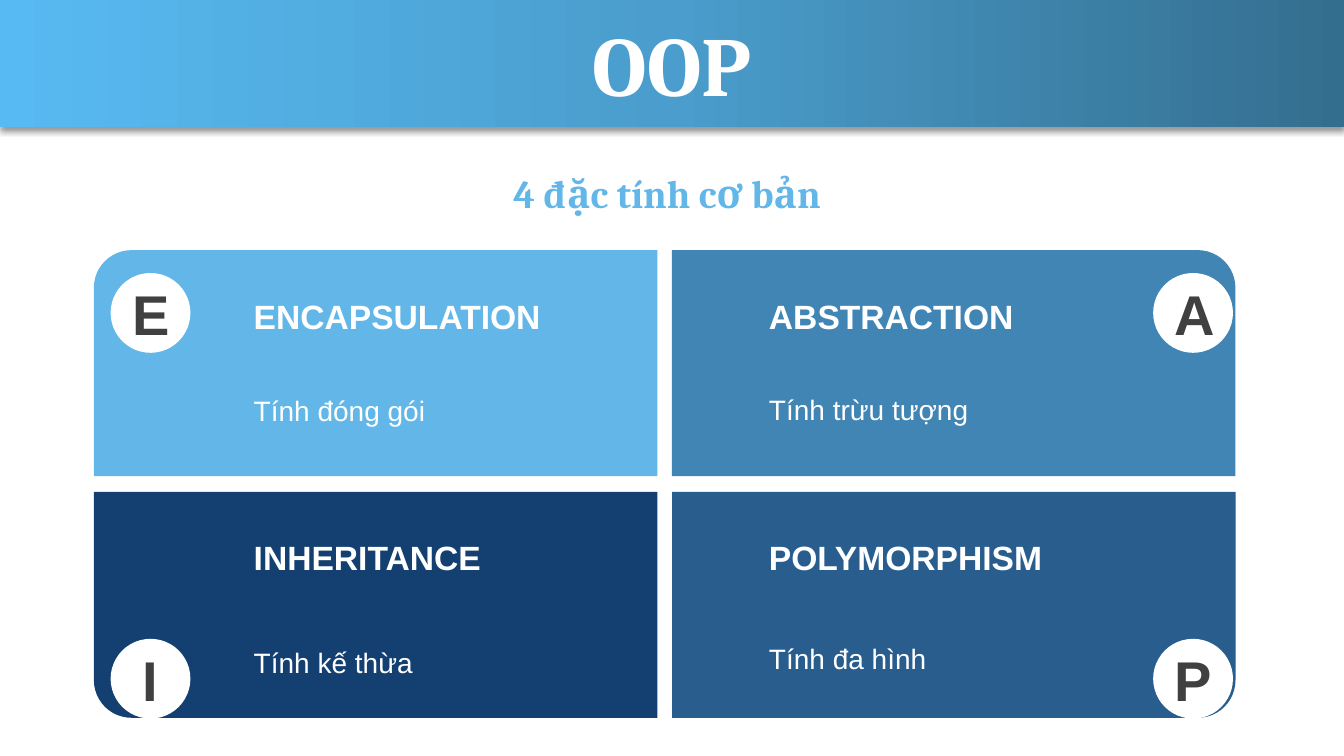
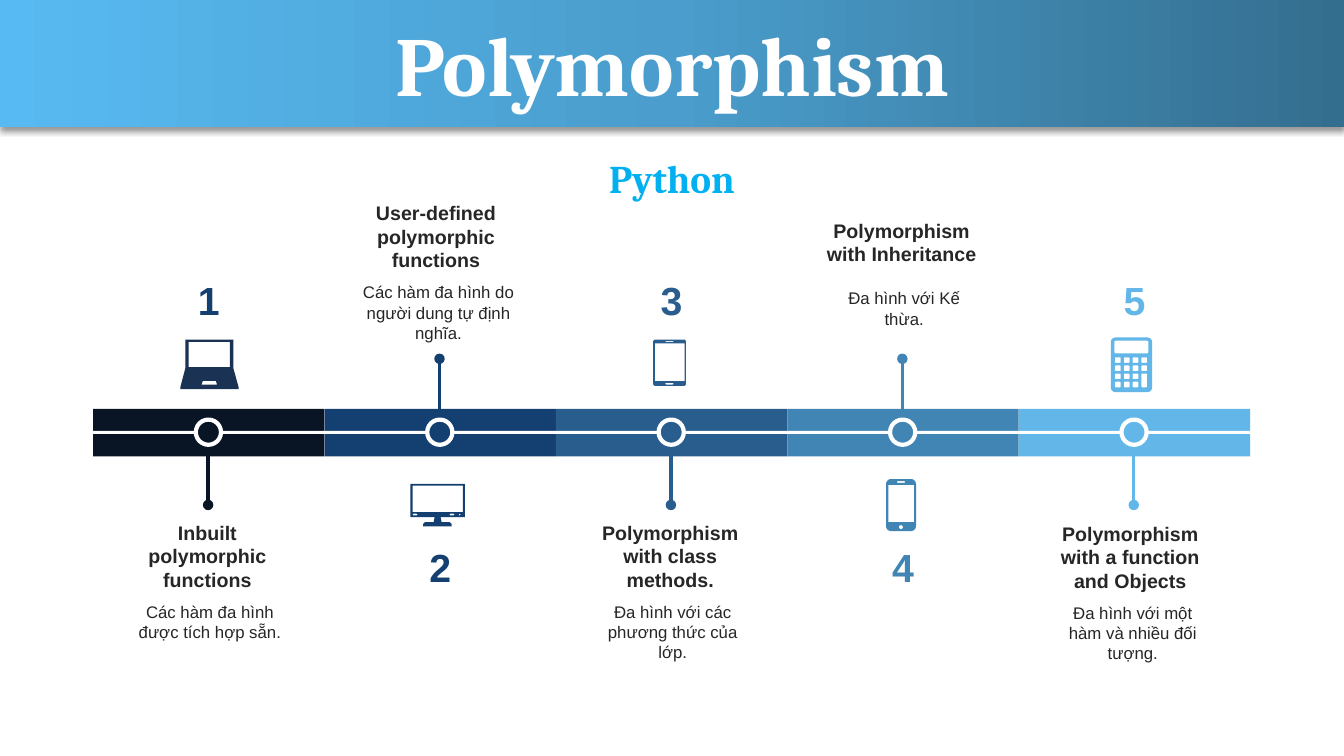
from dataclasses import dataclass
from math import cos, pi, sin

from pptx import Presentation
from pptx.dml.color import RGBColor as Rgb
from pptx.enum.shapes import MSO_CONNECTOR as Link, MSO_SHAPE as Kind
from pptx.enum.text import MSO_ANCHOR as Anchor, MSO_AUTO_SIZE as Fit, PP_ALIGN as Align
from pptx.oxml import parse_xml
from pptx.oxml.ns import nsdecls, qn
from pptx.util import Pt

# Shared look
WIDE, HIGH = 960, 540
WHITE, INK, GREY = "FFFFFF", "262626", "404040"
NIGHT, NAVY, BLUE, STEEL, SKY = "091424", "134070", "285D8D", "4185B5", "62B7E8"
SANS, SERIF = "Arial", "Cambria"
FADE = ((0, "346E8F"), (50, "4A9DCC"), (100, "58BAF2"))

Dots = list[tuple[float, float]]


@dataclass
class Card:
    letter: str
    head: str
    note: str
    tint: str
    col: int
    row: int
    flip: bool
    turn: int
    note_y: float


@dataclass
class Icon:
    x: float
    y: float
    tint: str
    rings: list[Dots]


@dataclass
class Step:
    head: str
    note: str
    tint: str
    ink: str
    head_y: float
    head_h: float
    note_y: float
    shift: float
    icon: Icon


def rgb(code: str) -> Rgb:
    return Rgb.from_string(code)


def style(frame, text: str, size: float, tint: str, bold: bool = False,
          face: str = SANS, align=Align.CENTER, anchor=Anchor.TOP) -> None:
    frame.word_wrap = True
    frame.auto_size = Fit.NONE
    frame.vertical_anchor = anchor
    frame.text = text
    para = frame.paragraphs[0]
    para.alignment = align
    font = para.font
    font.name, font.size, font.bold = face, Pt(size), bold
    font.color.rgb = rgb(tint)


def label(slide, x: float, y: float, w: float, h: float, text: str,
          size: float, tint: str, **opts) -> None:
    box = slide.shapes.add_textbox(Pt(x), Pt(y), Pt(w), Pt(h))
    style(box.text_frame, text, size, tint, **opts)


def block(slide, kind, x: float, y: float, w: float, h: float, tint: str):
    shape = slide.shapes.add_shape(kind, Pt(x), Pt(y), Pt(w), Pt(h))
    paint(shape, tint)
    return shape


def paint(shape, tint: str) -> None:
    shape.shadow.inherit = False
    shape.fill.solid()
    shape.fill.fore_color.rgb = rgb(tint)
    shape.line.fill.background()


def banner(slide, text: str) -> None:
    """Gradient band with a soft shadow, behind the title."""
    band = block(slide, Kind.RECTANGLE, 0, 0, WIDE, 90.7, STEEL)
    props = band.element.spPr
    stops = "".join(f'<a:gs pos="{pos * 1000}"><a:srgbClr val="{code}"/></a:gs>'
                    for pos, code in FADE)
    props.replace(props.find(qn("a:solidFill")), parse_xml(
        f'<a:gradFill {nsdecls("a")} rotWithShape="1"><a:gsLst>{stops}</a:gsLst>'
        '<a:lin ang="10800000" scaled="0"/></a:gradFill>'))
    props.find(qn("a:effectLst")).append(parse_xml(
        f'<a:outerShdw {nsdecls("a")} blurRad="{Pt(4)}" dist="{Pt(3)}" dir="5400000" '
        'algn="t" rotWithShape="0"><a:srgbClr val="000000">'
        '<a:alpha val="40000"/></a:srgbClr></a:outerShdw>'))
    title = slide.shapes.title
    title.left, title.top, title.width, title.height = Pt(0), Pt(5), Pt(WIDE), Pt(80)
    style(title.text_frame, text, 60, WHITE, bold=True, face=SERIF)
    title.element.addprevious(band.element)


def stem(slide, x: float, start: float, end: float, tint: str) -> None:
    line = slide.shapes.add_connector(Link.STRAIGHT, Pt(x), Pt(start), Pt(x), Pt(end))
    line.line.color.rgb = rgb(tint)
    line.line.width = Pt(2.5)
    props = line.element.spPr
    props.find(qn("a:ln")).append(parse_xml(f'<a:headEnd {nsdecls("a")} type="oval"/>'))
    props.append(parse_xml(f'<a:effectLst {nsdecls("a")}/>'))


# Icon outlines: the outer ring first, then the holes
def ring(x: float, y: float, w: float, h: float, r: float = 0) -> Dots:
    if not r:
        return [(x, y), (x + w, y), (x + w, y + h), (x, y + h)]
    hubs = ((x + w - r, y + h - r), (x + r, y + h - r), (x + r, y + r), (x + w - r, y + r))
    return [(cx + r * cos(a), cy + r * sin(a))
            for q, (cx, cy) in enumerate(hubs)
            for a in ((q + k / 6) * pi / 2 for k in range(7))]


def draw(slide, icon: Icon) -> None:
    rings = [[(Pt(icon.x + x), Pt(icon.y + y)) for x, y in dots] for dots in icon.rings]
    pen = slide.shapes.build_freeform(*rings[0][0])
    pen.add_line_segments(rings[0][1:])
    for dots in rings[1:]:
        pen.move_to(*dots[0])
        pen.add_line_segments(dots[1:])
    paint(pen.convert_to_shape(), icon.tint)


LAPTOP = Icon(128.9, 242.6, "1A3253", [
    [(3.6, 0), (37.8, 0), (37.8, 20.2), (41.5, 33.8), (41.5, 35.3),
     (0, 35.3), (0, 33.8), (3.6, 20.2)],
    ring(5.8, 1.6, 29.6, 18),
    [(16, 29.5), (15.1, 32.2), (26.2, 32.2), (25.3, 29.5)]])
SCREEN = Icon(293.2, 345.6, NAVY, [
    [(0, 0), (38.9, 0), (38.9, 23.8), (21.6, 23.8), (22.3, 27.4), (28.1, 27.4),
     (29.5, 28.8), (29.5, 30.4), (9.1, 30.4), (9.1, 28.8), (10.5, 27.4),
     (16.6, 27.4), (17.3, 23.8), (0, 23.8)],
    ring(1.6, 1.4, 35.8, 18.9),
    ring(1.6, 21.4, 3.4, 1.2, 0.6), ring(28, 21.4, 3.4, 1.2, 0.6),
    ring(34.6, 21.4, 1.2, 1.2, 0.6)])
TABLET = Icon(466.6, 242.6, BLUE, [
    ring(0, 0, 23.4, 33.1, 1.6), ring(1.2, 2.7, 21.2, 26.9),
    ring(8.7, 0.9, 5.8, 0.8, 0.4), ring(8.7, 30.9, 5.8, 1.2, 0.6)])
PHONE = Icon(632.9, 342.2, STEEL, [
    ring(0, 0, 21.4, 37.2, 3.6), ring(1.6, 4.2, 18.4, 26.6),
    ring(7.8, 1.5, 5.8, 1.2, 0.6), ring(9.2, 32.9, 2.9, 2.9, 1.45)])
KEYS = [ring(2.9 + 6.3 * col, 14.2 + 5.8 * row, 4.1, 4, 0.5)
        for row in range(4) for col in range(4) if col < 3 or row < 2]
ADDER = Icon(793.5, 241.1, SKY, [
    ring(0, 0, 29.4, 39, 3.2), ring(2.5, 2.2, 24.3, 9.2, 1),
    ring(21.8, 25.8, 4.1, 9.8, 0.5), *KEYS])

CARDS = [
    Card("E", "ENCAPSULATION", "Tính đóng gói", SKY, 0, 0, True, 0, 277.4),
    Card("A", "ABSTRACTION", "Tính trừu tượng", STEEL, 1, 0, False, 0, 277),
    Card("I", "INHERITANCE", "Tính kế thừa", NAVY, 0, 1, False, 180, 457.2),
    Card("P", "POLYMORPHISM", "Tính đa hình", BLUE, 1, 1, True, 180, 455),
]

STEPS = [
    Step("Inbuilt polymorphic functions", "Các hàm đa hình được tích hợp sẵn.",
         NIGHT, NAVY, 368, 58.3, 426.2, 1, LAPTOP),
    Step("User-defined polymorphic functions", "Các hàm đa hình do người dung tự định nghĩa.",
         NAVY, NAVY, 139.7, 58.3, 198, 3, SCREEN),
    Step("Polymorphism with class methods.", "Đa hình với các phương thức của lớp.",
         BLUE, BLUE, 368, 58.3, 426.2, 1, TABLET),
    Step("Polymorphism with Inheritance", "Đa hình với Kế thừa.",
         STEEL, STEEL, 152.6, 41, 202.3, 1, PHONE),
    Step("Polymorphism with a function and Objects", "Đa hình với một hàm và nhiều đối tượng.",
         SKY, SKY, 368.6, 58.3, 427, 3, ADDER),
]


def traits(slide) -> None:
    banner(slide, "OOP")
    # Four cards, each with its rounded corner facing out
    for card in CARDS:
        shape = block(slide, Kind.ROUND_1_RECTANGLE, 67 + 413 * card.col,
                      178.7 + 172.6 * card.row, 402.5, 161.4, card.tint)
        shape.rotation = card.turn
        if card.flip:
            shape.element.spPr.find(qn("a:xfrm")).set("flipH", "1")
    # Letters and wording
    for card in CARDS:
        badge = block(slide, Kind.OVAL, 79 + 744.7 * card.col,
                      195 + 261.3 * card.row, 57, 57, WHITE)
        style(badge.text_frame, card.letter, 40, GREY, bold=True, anchor=Anchor.MIDDLE)
        left = 174.2 + 368 * card.col
        label(slide, left, 207.8 + 172 * card.row, 244, 36, card.head, 24, WHITE,
              bold=True, align=Align.LEFT)
        label(slide, left, card.note_y, 244, 32, card.note, 20, WHITE, align=Align.LEFT)
    label(slide, 315.5, 117.4, 322, 41, "4 đặc tính cơ bản", 28, SKY, bold=True, face=SERIF)


def timeline(slide) -> None:
    banner(slide, "Polymorphism")
    label(slide, 310.5, 106.6, 339, 41, "Python", 28, "00B0F0", bold=True, face=SERIF)
    # Coloured bar with a white stripe
    left, span, wide = 66.5, 165.3, 123.1
    for i, step in enumerate(STEPS):
        block(slide, Kind.RECTANGLE, left + span * i, 292, span, 34, step.tint)
    block(slide, Kind.RECTANGLE, left, 307.7, span * len(STEPS), 2.3, WHITE)
    # Steps, in turn below and above the bar
    for i, step in enumerate(STEPS):
        mid = left + span * (i + 0.5)
        above = i % 2 == 1
        stem(slide, mid - 0.5, *((256.3, 299.5) if above else (360.7, 317.5)), step.tint)
        node = block(slide, Kind.OVAL, mid - 9.3, 299.7, 18, 18, step.tint)
        node.line.color.rgb = rgb(WHITE)
        node.line.width = Pt(3)
        label(slide, mid - 47, 384.5 if above else 193.7, 94, 41, str(i + 1), 28,
              step.ink, bold=True)
        start = mid - wide / 2 - step.shift
        label(slide, start, step.head_y, wide, step.head_h, step.head, 14, INK,
              bold=True, anchor=Anchor.MIDDLE)
        label(slide, start + 1.8, step.note_y, wide, 51, step.note, 12, INK)
        draw(slide, step.icon)


def main() -> None:
    deck = Presentation()
    deck.slide_width, deck.slide_height = Pt(WIDE), Pt(HIGH)
    for build in (traits, timeline):
        build(deck.slides.add_slide(deck.slide_layouts[5]))
    deck.save("out.pptx")


if __name__ == "__main__":
    main()
